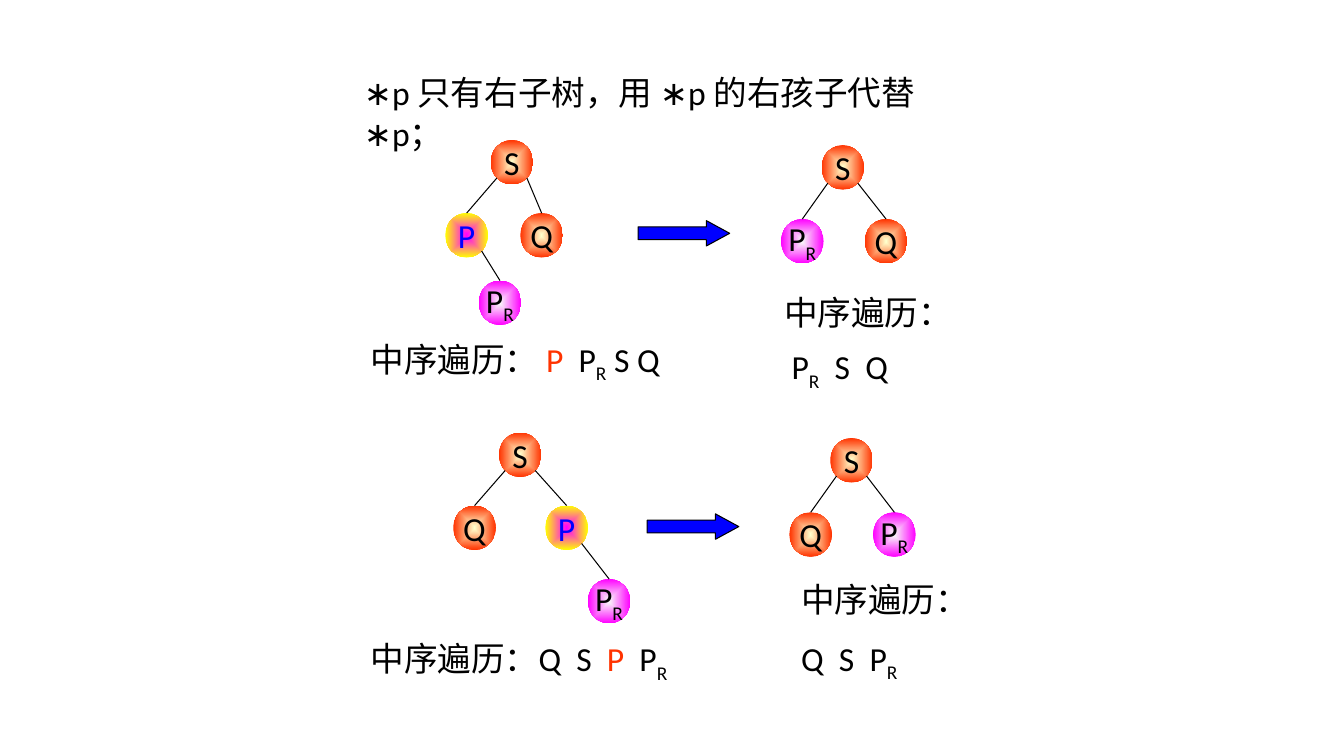
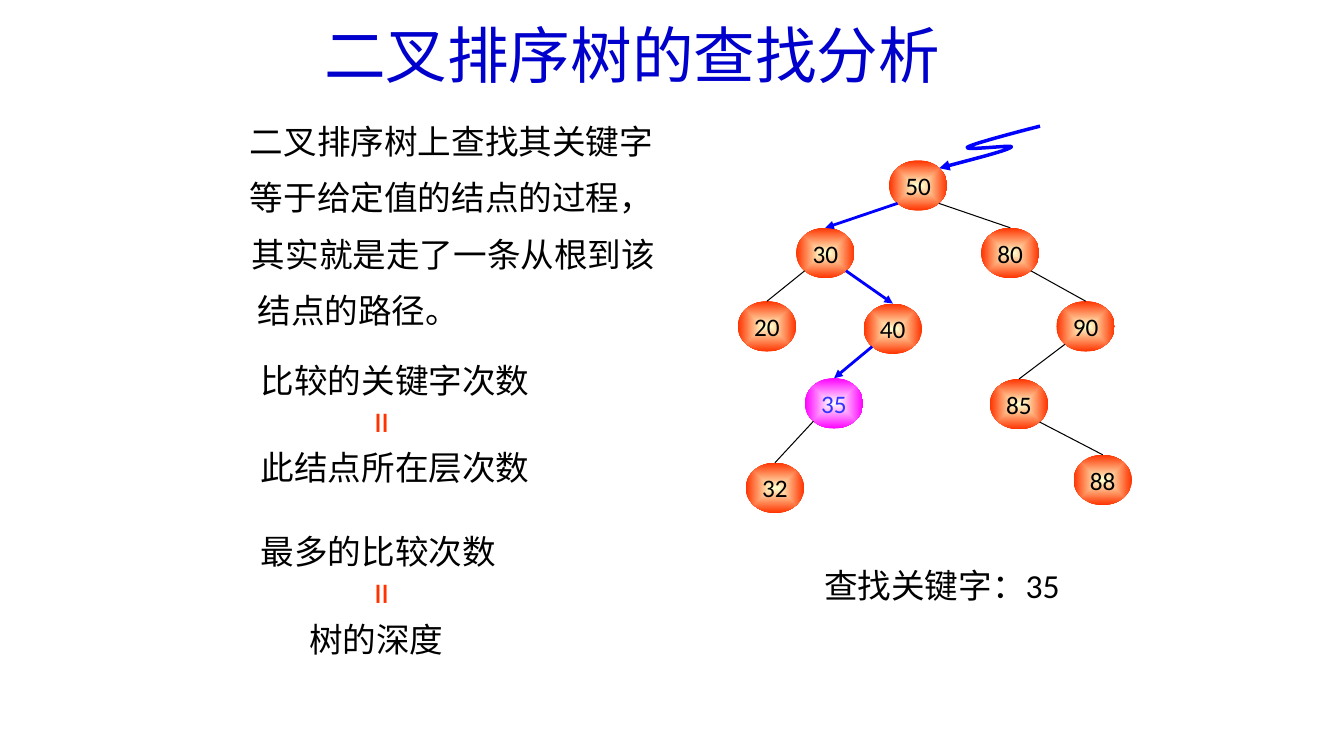
from pptx import Presentation
from pptx.dml.color import RGBColor
from pptx.enum.shapes import MSO_CONNECTOR, MSO_SHAPE
from pptx.enum.text import MSO_ANCHOR, PP_ALIGN
from pptx.oxml import parse_xml
from pptx.oxml.ns import nsdecls, qn
from pptx.util import Cm, Pt

COLORS = {
    "black": "000000",
    "title": "0000CC",
    "blue": "0000FF",
    "found": "3333FF",
    "red": "FF3300",
    "cream": "FFFFCC",
    "magenta": "FF00FF",
    "yellow": "FFFF00",
    "pale": "F8F8F8",
    "white": "FFFFFF",
}
LATIN = "Calibri"
CHINESE = "Noto Sans CJK SC"
NODE_STYLES = {
    "plain": ("cream", "red", "black"),
    "removed": ("magenta", "yellow", "blue"),
    "child": ("pale", "magenta", "black"),
    "found": ("white", "magenta", "found"),
}
DIAGONAL = 0.354


def color_of(name):
    return RGBColor.from_string(COLORS[name])


def write(para, text, size=24, color="black", font=LATIN, subscript=False):
    span = para.add_run()
    span.text = text
    span.font.size = Pt(size)
    span.font.name = font
    span.font.color.rgb = color_of(color)
    properties = span._r.get_or_add_rPr()
    if subscript:
        properties.set("baseline", "-25000")
    properties.find(qn("a:latin")).addnext(
        parse_xml(f'<a:ea {nsdecls("a")} typeface="{CHINESE}"/>'))


def curve_points(start, segments, steps=16):
    points = [start]
    for first, second, end in segments:
        begin = points[-1]
        for step in range(1, steps + 1):
            t = step / steps
            weights = ((1 - t) ** 3, 3 * t * (1 - t) ** 2, 3 * t * t * (1 - t), t ** 3)
            corners = (begin, first, second, end)
            points.append(tuple(
                sum(weight * corner[axis] for weight, corner in zip(weights, corners))
                for axis in (0, 1)))
    return points


class TreeDeck:
    def __init__(self):
        self.deck = Presentation()
        self.deck.slide_width = Cm(33.87)
        self.deck.slide_height = Cm(19.05)
        self.page = None

    def add_page(self):
        self.page = self.deck.slides.add_slide(self.deck.slide_layouts[6])

    def text(self, left, top, width, height, *lines, anchor=MSO_ANCHOR.TOP,
             align=PP_ALIGN.LEFT, spacing=None, indents=(), rotation=0, **style):
        box = self.page.shapes.add_textbox(Cm(left), Cm(top), Cm(width), Cm(height))
        box.rotation = rotation
        frame = box.text_frame
        frame.word_wrap = True
        frame.vertical_anchor = anchor
        for index, line in enumerate(lines):
            para = frame.paragraphs[0] if index == 0 else frame.add_paragraph()
            para.alignment = align
            if spacing:
                para.line_spacing = spacing[index]
            if indents:
                para._p.get_or_add_pPr().set("marL", str(Cm(indents[index])))
            self.spans(para, line, **style)

    def spans(self, para, line, **style):
        for text, extra in [(line, {})] if isinstance(line, str) else line:
            write(para, text, **{**style, **extra})

    def node(self, center, top, width, height, label, style, size):
        inner, outer, ink = NODE_STYLES[style]
        shape = self.page.shapes.add_shape(
            MSO_SHAPE.OVAL, Cm(center - width / 2), Cm(top), Cm(width), Cm(height))
        shape.shadow.inherit = False
        shape.line.fill.background()
        shape.fill.gradient()
        for stop, name, position in zip(shape.fill.gradient_stops, (inner, outer), (0, 1)):
            stop.color.rgb = color_of(name)
            stop.position = position
        linear = shape._element.spPr.find(".//" + qn("a:lin"))
        linear.getparent().replace(linear, parse_xml(
            f'<a:path {nsdecls("a")} path="shape">'
            '<a:fillToRect l="50000" t="50000" r="50000" b="50000"/></a:path>'))
        frame = shape.text_frame
        frame.word_wrap = False
        frame.vertical_anchor = MSO_ANCHOR.MIDDLE
        para = frame.paragraphs[0]
        para.alignment = PP_ALIGN.CENTER
        self.spans(para, label, size=size, color=ink)

    def outline(self, shape, color, width, arrow=False):
        shape.line.color.rgb = color_of(color)
        shape.line.width = Pt(width)
        if arrow:
            shape.line._get_or_add_ln().append(
                parse_xml(f'<a:tailEnd {nsdecls("a")} type="triangle"/>'))

    def edge(self, begin, end, color="black", width=0.75, arrow=False):
        line = self.page.shapes.add_connector(
            MSO_CONNECTOR.STRAIGHT, *(Cm(value) for value in begin + end))
        self.outline(line, color, width, arrow)
        line._element.spPr.append(parse_xml(f'<a:effectLst {nsdecls("a")}/>'))

    def tree(self, nodes, edges, width, height, size, searched=()):
        for center, top, label, style in nodes.values():
            self.node(center, top, width, height, label, style, size)
        for parent, child in edges:
            x, y = nodes[parent][:2]
            end = nodes[child][:2]
            side = 1 if end[0] > x else -1
            begin = (x + side * DIAGONAL * width, y + (0.5 + DIAGONAL) * height)
            look = {}
            if (parent, child) in searched:
                look = {"color": "blue", "width": 2, "arrow": True}
            self.edge(begin, end, **look)

    def block_arrow(self, left, top):
        arrow = self.page.shapes.add_shape(
            MSO_SHAPE.RIGHT_ARROW, Cm(left), Cm(top), Cm(2.31), Cm(0.64))
        arrow.adjustments[1] = 0.92
        arrow.shadow.inherit = False
        arrow.fill.solid()
        arrow.fill.fore_color.rgb = color_of("blue")
        self.outline(arrow, "black", 0.75)

    def curved_arrow(self, start, segments):
        points = [(Cm(x), Cm(y)) for x, y in curve_points(start, segments)]
        builder = self.page.shapes.build_freeform(*points[0])
        builder.add_line_segments(points[1:], close=False)
        curve = builder.convert_to_shape()
        curve.shadow.inherit = False
        curve.fill.background()
        self.outline(curve, "blue", 2.5, arrow=True)


RED = {"color": "red"}
SUB = {"subscript": True}
P_RIGHT = [("P", {}), ("R", SUB)]
LETTERS = {"S": ("S", "plain"), "Q": ("Q", "plain"),
           "P": ("P", "removed"), "PR": (P_RIGHT, "child")}


def deletion_page(show):
    show.add_page()
    show.text(8.92, 1.7, 16.28, 1.27, "∗p 只有右子树，用 ∗p 的右孩子代替 ∗p；")
    trees = [
        ({"S": (12.9, 3.53), "P": (11.76, 5.37), "PR": (12.6, 7.07), "Q": (13.65, 5.37)},
         ["S P", "S Q", "P PR"]),
        ({"S": (21.24, 3.66), "PR": (20.22, 5.52), "Q": (22.33, 5.52)},
         ["S PR", "S Q"]),
        ({"S": (13.11, 10.9), "P": (14.28, 12.74), "PR": (15.35, 14.59), "Q": (11.96, 12.74)},
         ["S Q", "S P", "P PR"]),
        ({"S": (21.46, 11.04), "PR": (22.54, 12.91), "Q": (20.43, 12.91)},
         ["S Q", "S PR"]),
    ]
    for places, edges in trees:
        nodes = {key: place + LETTERS[key] for key, place in places.items()}
        show.tree(nodes, [edge.split() for edge in edges], 1.07, 1.12, 24)
    for left, top in ((16.08, 5.56), (16.31, 12.95)):
        show.block_arrow(left, top)

    middle = {"anchor": MSO_ANCHOR.MIDDLE}
    show.text(9.09, 8.48, 8.1, 1.27,
              [("中序遍历： ", {}), ("P", RED), ("  P", {}), ("R", SUB), (" S Q", {})], **middle)
    show.text(19.51, 7.37, 4.98, 2.51, "中序遍历：", P_RIGHT + [("  S  Q", {})],
              spacing=(1.0, 1.3), indents=(0, 0.19), **middle)
    show.text(9.09, 16.03, 8.23, 1.27,
              [("中序遍历：Q  S  ", {}), ("P", RED), ("  P", {}), ("R", SUB)], **middle)
    show.text(19.94, 14.61, 4.98, 2.59, "中序遍历：", [("Q  S  ", {})] + P_RIGHT,
              spacing=(1.0, 1.4), **middle)


def search_page(show):
    show.add_page()
    show.text(7.92, 0.33, 18.01, 2.08, "二叉排序树的查找分析",
              anchor=MSO_ANCHOR.MIDDLE, size=44, color="title", font=CHINESE)
    show.text(4.52, 2.51, 13.59, 5.99,
              "二叉排序树上查找其关键字", "等于给定值的结点的过程，",
              "其实就是走了一条从根到该", "结点的路径。",
              spacing=(1.4,) * 4, indents=(1.53, 1.53, 1.58, 1.72))
    show.curved_arrow((26.21, 3.18), [
        ((25.35, 3.4), (24.51, 3.63), (24.38, 3.71)),
        ((24.28, 3.81), (25.6, 3.63), (25.48, 3.71)),
        ((25.35, 3.81), (24.51, 4.01), (23.67, 4.24)),
    ])
    places = {50: (23.14, 4.04), 30: (20.8, 5.74), 80: (25.46, 5.74),
              20: (19.33, 7.59), 40: (22.5, 7.65), 90: (27.36, 7.59),
              35: (21.02, 9.53), 85: (25.68, 9.55),
              32: (19.53, 11.66), 88: (27.79, 11.46)}
    nodes = {key: place + (str(key), "found" if key == 35 else "plain")
             for key, place in places.items()}
    searched = [(50, 30), (30, 40), (40, 35)]
    others = [(50, 80), (80, 90), (90, 85), (85, 88), (30, 20), (35, 32)]
    show.tree(nodes, others + searched, 1.47, 1.27, 18, searched)
    show.text(20.52, 14.12, 6.88, 1.27, "查找关键字：35")

    for left, top, line in ((6.32, 8.53, "比较的关键字次数"), (6.32, 10.72, "此结点所在层次数"),
                            (6.32, 12.85, "最多的比较次数"), (7.54, 15.06, "树的深度")):
        show.text(left, top, 8, 1.55, line, spacing=(1.4,))
    for top in (9.86, 14.17):
        show.text(8.74, top, 1.6, 1.63, "=", align=PP_ALIGN.CENTER,
                  rotation=270, size=32, color="red")


def main():
    show = TreeDeck()
    deletion_page(show)
    search_page(show)
    show.deck.save("out.pptx")


if __name__ == "__main__":
    main()
